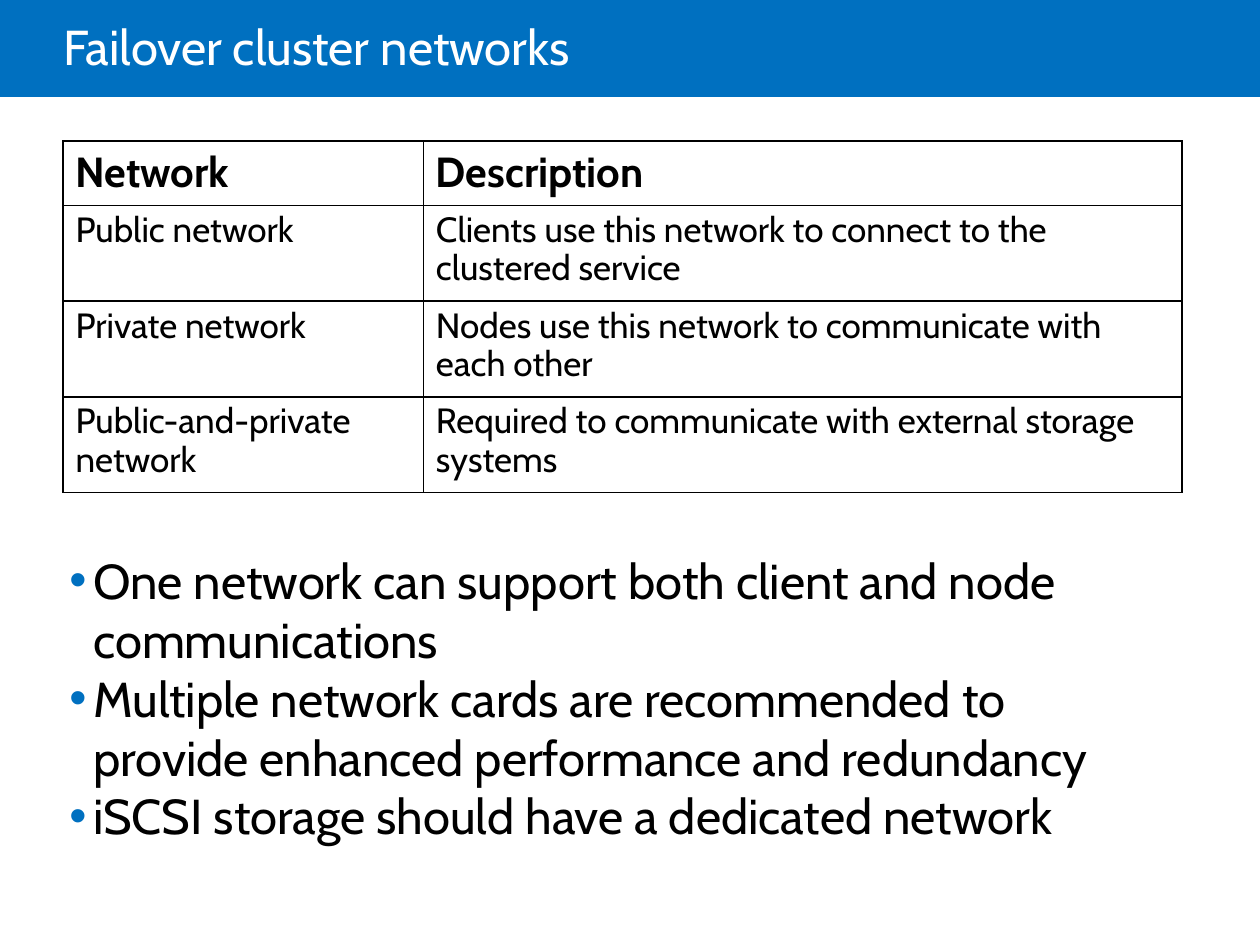
from lxml import etree
from pptx import Presentation
from pptx.dml.color import RGBColor
from pptx.enum.shapes import MSO_SHAPE
from pptx.enum.text import MSO_ANCHOR, MSO_AUTO_SIZE, PP_ALIGN
from pptx.oxml.ns import qn
from pptx.util import Inches, Pt

RECTANGLE = MSO_SHAPE.RECTANGLE
MIDDLE, TOP = MSO_ANCHOR.MIDDLE, MSO_ANCHOR.TOP
NO_AUTOFIT = MSO_AUTO_SIZE.NONE
LEFT = PP_ALIGN.LEFT

BLUE = RGBColor(0x00, 0x70, 0xC0)
WHITE = RGBColor(0xFF, 0xFF, 0xFF)
BLACK = RGBColor(0x00, 0x00, 0x00)
FONT = "Cabin"

NETWORKS = [
    ("Network", "Description"),
    ("Public network", "Clients use this network to connect to the clustered service"),
    ("Private network", "Nodes use this network to communicate with each other"),
    ("Public-and-private network", "Required to communicate with external storage systems"),
]
BULLETS = [
    "One network can support both client and node communications",
    "Multiple network cards are recommended to provide enhanced performance and redundancy",
    "iSCSI storage should have a dedicated network",
]


def format_paragraph(paragraph, size, color, bold=False, line_spacing=1.0):
    paragraph.alignment = LEFT
    paragraph.line_spacing = line_spacing
    paragraph.space_before = Pt(0)
    font = paragraph.font
    font.name, font.size, font.bold = FONT, Pt(size), bold
    font.color.rgb = color


def add_borders(cell, color, width):
    properties = cell._tc.get_or_add_tcPr()
    for position, side in enumerate(("lnL", "lnR", "lnT", "lnB")):
        line = etree.Element(qn(f"a:{side}"), w=str(width))
        fill = etree.SubElement(line, qn("a:solidFill"))
        etree.SubElement(fill, qn("a:srgbClr"), val=str(color))
        properties.insert(position, line)


presentation = Presentation()
presentation.slide_width = Inches(10)
presentation.slide_height = Inches(7.5)
slide = presentation.slides.add_slide(presentation.slide_layouts[1])
title, body = slide.placeholders

# Header band, behind the title
band = slide.shapes.add_shape(RECTANGLE, 0, 0, presentation.slide_width, Inches(0.77))
band.shadow.inherit = False
band.fill.solid()
band.fill.fore_color.rgb = BLUE
band.line.fill.background()
title._element.addprevious(band._element)

title.left, title.top = Inches(0.5), Inches(0)
title.width, title.height = Inches(8.5), Inches(0.81)
title.text_frame.text = "Failover cluster networks"
title.text_frame.margin_left = 0
title.text_frame.vertical_anchor = MIDDLE
title.text_frame.auto_size = NO_AUTOFIT
format_paragraph(title.text_frame.paragraphs[0], 28, WHITE, line_spacing=0.85)

# Network table
table = slide.shapes.add_table(
    len(NETWORKS), 2, Inches(0.5), Inches(1.12), Inches(8.88), Inches(2.79)
).table
table.horz_banding = False
table.columns[0].width = Inches(2.86)
table.columns[1].width = Inches(6.02)
for row_index, texts in enumerate(NETWORKS):
    is_header = row_index == 0
    table.rows[row_index].height = Inches(0.51 if is_header else 0.76)
    for column_index, text in enumerate(texts):
        cell = table.cell(row_index, column_index)
        cell.text = text
        cell.fill.background()
        add_borders(cell, BLACK, Pt(1))
        format_paragraph(
            cell.text_frame.paragraphs[0],
            size=24 if is_header else 20,
            color=BLACK,
            bold=is_header,
            line_spacing=1.0 if is_header else 0.9,
        )

# Bulleted recommendations
body.left, body.top = Inches(0.39), Inches(4.32)
body.width, body.height = Inches(8.99), Inches(2.46)
body.text_frame.text = "\n".join(BULLETS)
body.text_frame.vertical_anchor = TOP
body.text_frame.auto_size = NO_AUTOFIT
for paragraph in body.text_frame.paragraphs:
    format_paragraph(paragraph, 28, BLACK)
    properties = paragraph._p.get_or_add_pPr()
    properties.set("marL", str(Inches(0.25)))
    properties.set("indent", str(Inches(-0.19)))
    bullet_color = etree.Element(qn("a:buClr"))
    etree.SubElement(bullet_color, qn("a:srgbClr"), val=str(BLUE))
    bullet = etree.Element(qn("a:buChar"), char="•")
    font_properties = properties.find(qn("a:defRPr"))
    font_properties.addprevious(bullet_color)
    font_properties.addprevious(bullet)

presentation.save("out.pptx")
